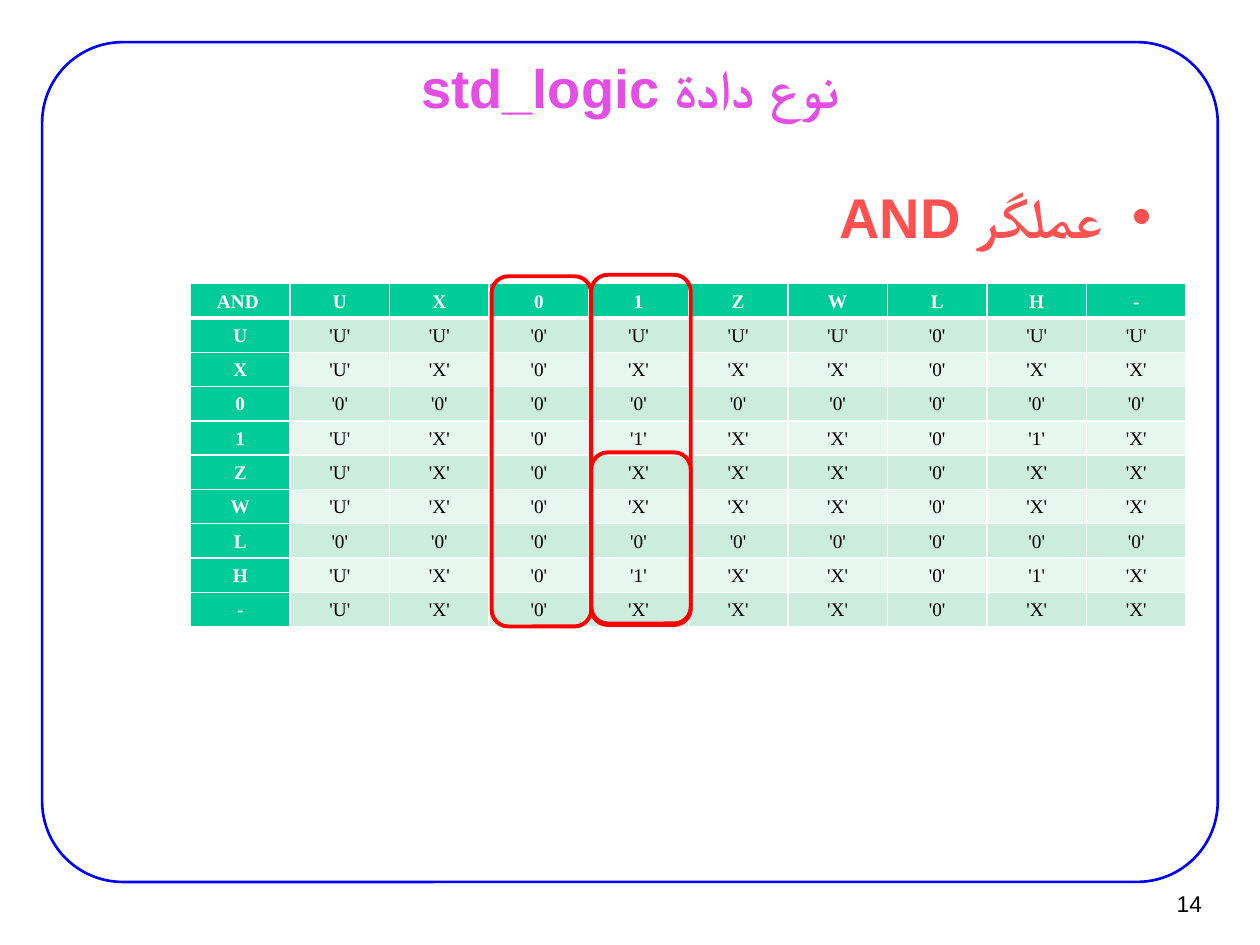
import dataclasses
import pptx
import pptx.dml.color
import pptx.enum.shapes
import pptx.enum.text
import pptx.oxml.ns
import pptx.util
import lxml.etree

Cm = pptx.util.Cm
Align = pptx.enum.text.PP_ALIGN
Anchor = pptx.enum.text.MSO_ANCHOR


@dataclasses.dataclass(frozen=True)
class Theme:
    """Colours, fonts and type sizes of the slide."""
    frame: str = "0000FF"
    title: str = "E44EE4"
    bullet: str = "FF5050"
    header: str = "00CC99"
    bands: tuple = ("CCECDE", "E7F6EF")
    highlight: str = "FF0000"
    white: str = "FFFFFF"
    black: str = "000000"
    sans: str = "Arial"
    serif: str = "Times New Roman"
    title_size: int = 31
    bullet_size: int = 32
    number_size: int = 13
    cell_size: int = 11


THEME = Theme()
SYMBOLS = "UX01ZWLH-"


def rgb(code):
    """Return a colour object for a hexadecimal code."""
    return pptx.dml.color.RGBColor.from_string(code)


def add_child(parent, tag, **attributes):
    """Append a DrawingML element and return it."""
    return lxml.etree.SubElement(parent, pptx.oxml.ns.qn(tag), attributes)


def write(para, text, *, size, color, font, bold=False, align=Align.CENTER, rtl=False):
    """Add one formatted span to a paragraph."""
    para.alignment = align
    span = para.add_run()
    span.text = text
    span.font.size = pptx.util.Pt(size)
    span.font.bold = bold
    span.font.name = font
    span.font.color.rgb = rgb(color)
    if rtl:
        para._p.get_or_add_pPr().set("rtl", "1")
        add_child(span._r.get_or_add_rPr(), "a:cs", typeface=font)


def place(shape, box):
    """Move and resize a shape to a box."""
    shape.left, shape.top, shape.width, shape.height = box


def set_frame(frame, across, down, anchor, wrap=True):
    """Set the insets, anchor and wrapping of a text frame."""
    frame.margin_left = frame.margin_right = across
    frame.margin_top = frame.margin_bottom = down
    frame.vertical_anchor = anchor
    frame.word_wrap = wrap
    frame.auto_size = pptx.enum.text.MSO_AUTO_SIZE.NONE


def add_outline(page, box, color, weight, corner):
    """Add an unfilled rounded rectangle."""
    shape = page.shapes.add_shape(pptx.enum.shapes.MSO_SHAPE.ROUNDED_RECTANGLE, *box)
    shape.adjustments[0] = corner
    shape.shadow.inherit = False
    shape.fill.background()
    shape.line.color.rgb = rgb(color)
    shape.line.width = pptx.util.Pt(weight)


def fill_placeholder(shape, box, text, anchor, **style):
    """Place a template placeholder and write its right-to-left text."""
    place(shape, box)
    set_frame(shape.text_frame, Cm(0.28), Cm(0.15), anchor)
    write(shape.text_frame.paragraphs[0], text, font=THEME.sans, bold=True, rtl=True, **style)


def add_page_number(page, box, number):
    """Add the page number."""
    frame = page.shapes.add_textbox(*box).text_frame
    set_frame(frame, Cm(0.23), Cm(0.1), Anchor.MIDDLE, wrap=False)
    write(frame.paragraphs[0], number, size=THEME.number_size, color=THEME.black,
          font=THEME.sans, align=Align.RIGHT)


def resolve_and(first, second):
    """Return the std_logic AND of two symbols."""
    pair = {first, second}
    if pair & set("0L"):
        return "0"
    if "U" in pair:
        return "U"
    return "1" if pair <= set("1H") else "X"


def set_borders(cell, **weights):
    """Draw white cell borders with the given weights in points."""
    properties = cell._tc.get_or_add_tcPr()
    for index, side in enumerate(("L", "R", "T", "B")):
        width = pptx.util.Pt(weights.get(side, 1))
        line = lxml.etree.Element(pptx.oxml.ns.qn(f"a:ln{side}"), w=str(int(width)))
        add_child(add_child(line, "a:solidFill"), "a:srgbClr", val=THEME.white)
        properties.insert(index, line)


def format_cell(cell, text, fill, color, bold):
    """Write and colour one table cell."""
    cell.fill.solid()
    cell.fill.fore_color.rgb = rgb(fill)
    cell.vertical_anchor = Anchor.MIDDLE
    cell.margin_left = cell.margin_right = Cm(0.19)
    cell.margin_top = cell.margin_bottom = 0
    para = cell.text_frame.paragraphs[0]
    para.line_spacing = 1.07
    write(para, text, size=THEME.cell_size, color=color, font=THEME.serif, bold=bold)


def add_truth_table(page, box):
    """Add the AND table with its highlighted columns."""
    rows = [["AND\u00a0", *SYMBOLS]]
    rows += [[a, *(f"'{resolve_and(a, b)}'" for b in SYMBOLS)] for a in SYMBOLS]
    table = page.shapes.add_table(len(rows), len(rows[0]), *box).table
    for r, row in enumerate(rows):
        for c, text in enumerate(row):
            cell = table.cell(r, c)
            if r == 0 or c == 0:
                format_cell(cell, text, THEME.header, THEME.white, True)
            else:
                format_cell(cell, text, THEME.bands[(r - 1) % 2], THEME.black, False)
            set_borders(cell, B=3 if r == 0 else 1, T=3 if r == 1 else 1)

    left, top, width, _ = box
    column = width // len(rows[0])
    for c, offset, height in ((3, -0.15, 7.06), (4, -0.18, 7.06), (4, 3.4, 3.45)):
        area = (left + c * column + Cm(0.05), top + Cm(offset), column, Cm(height))
        add_outline(page, area, THEME.highlight, 2.25, 0.167)


def build_operator_page(deck):
    """Build the page on the AND operator."""
    page = deck.slides.add_slide(deck.slide_layouts[1])
    add_outline(page, (Cm(0.85), Cm(0.85), Cm(23.7), Cm(16.93)), THEME.frame, 1.5, 0.096)
    fill_placeholder(page.shapes.title, (Cm(1.92), Cm(1.12), Cm(21.59), Cm(1.25)),
                     "نوع دادة std_logic", Anchor.MIDDLE,
                     size=THEME.title_size, color=THEME.title)
    fill_placeholder(page.placeholders[1], (Cm(1.9), Cm(3.53), Cm(21.59), Cm(8.2)),
                     "عملگر AND", Anchor.TOP,
                     size=THEME.bullet_size, color=THEME.bullet, align=Align.RIGHT)
    add_page_number(page, (Cm(22.91), Cm(17.75), Cm(1.55), Cm(0.94)), "14")
    add_truth_table(page, (Cm(3.84), Cm(5.72), Cm(20.07), Cm(6.91)))


def main():
    """Create and save the deck."""
    deck = pptx.Presentation()
    deck.slide_width, deck.slide_height = Cm(25.4), Cm(19.05)
    build_operator_page(deck)
    deck.save("out.pptx")


main()
